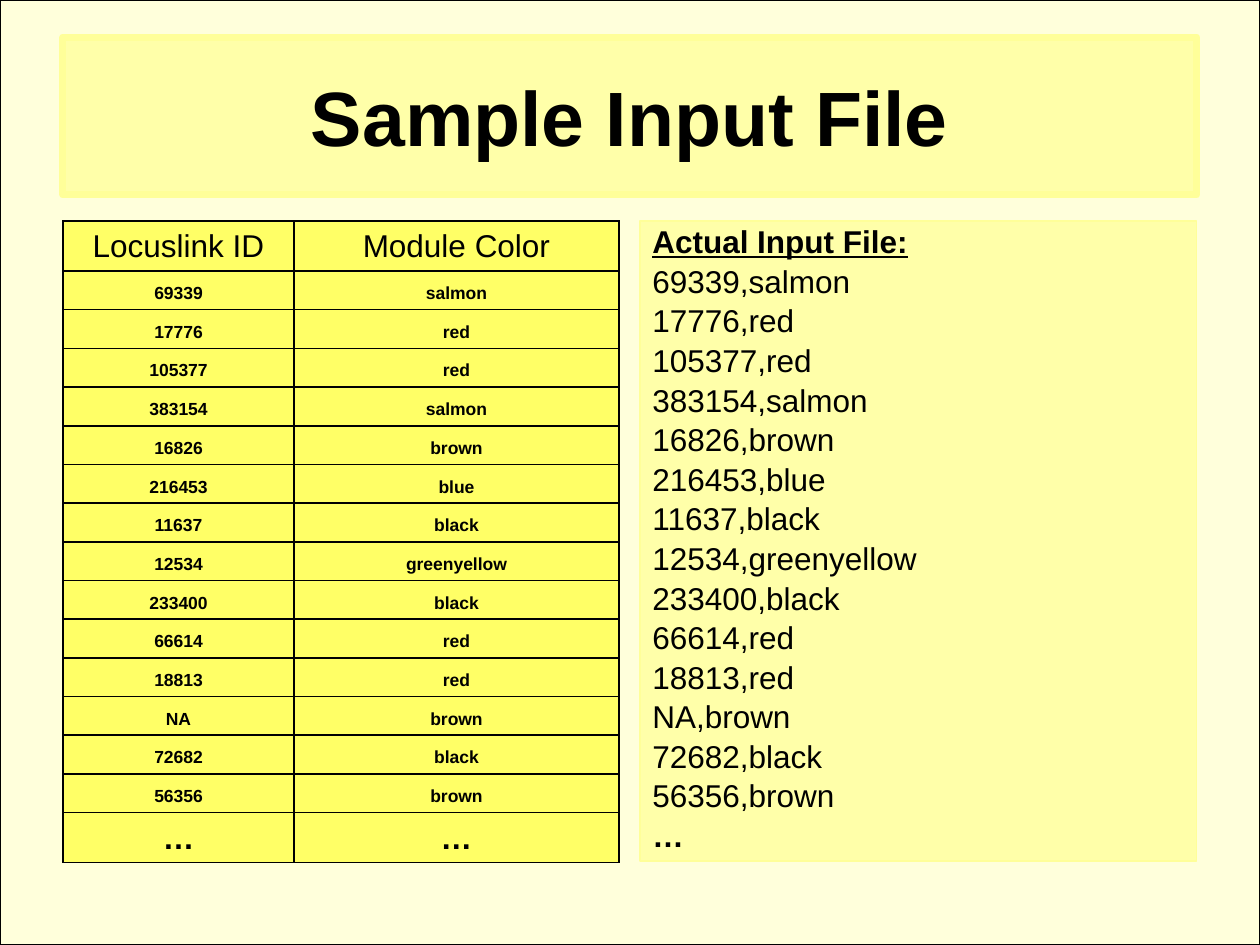
from lxml import etree
from pptx import Presentation
from pptx.dml.color import RGBColor
from pptx.enum.shapes import MSO_SHAPE
from pptx.enum.text import MSO_ANCHOR, PP_ALIGN
from pptx.oxml.ns import qn
from pptx.util import Pt

# Content
TITLE = "Sample Input File"
FILE_HEADING = "Actual Input File:"
HEADER = ("Locuslink ID", "Module Color")
GENES = [
    ("69339", "salmon"), ("17776", "red"), ("105377", "red"),
    ("383154", "salmon"), ("16826", "brown"), ("216453", "blue"),
    ("11637", "black"), ("12534", "greenyellow"), ("233400", "black"),
    ("66614", "red"), ("18813", "red"), ("NA", "brown"),
    ("72682", "black"), ("56356", "brown"),
]
MORE = "…"

# Style and layout, lengths in px
COLORS = {"page": "FFFFFF", "pale": "FFFF99", "cell": "FFFF66", "ink": "000000"}
FONT = "Arial"
EMU_PER_PX = 914400 // 126
SLIDE_W, SLIDE_H = 1260, 945
TITLE_BOX = (63, 37, 1134, 158)
FILE_BOX = (640, 221, 557, 640)
TABLE_LEFT, TABLE_TOP = 63, 221
COLUMN_WIDTHS = (231, 325)
END_ROW_H, GENE_ROWS_H = 50, 542
HANGING = 48


def px(length):
    return length * EMU_PER_PX


def rgb(name):
    return RGBColor.from_string(COLORS[name])


def add_panel(slide, box, opacity, line, line_width):
    panel = slide.shapes.add_shape(MSO_SHAPE.RECTANGLE, *map(px, box))
    panel.shadow.inherit = False
    panel.fill.solid()
    panel.fill.fore_color.rgb = rgb("pale")
    color = panel.fill._xPr.find(qn("a:solidFill"))[0]
    etree.SubElement(color, qn("a:alpha"), val=str(opacity * 1000))
    panel.line.color.rgb = rgb(line)
    panel.line.width = Pt(line_width)
    panel.text_frame.word_wrap = True
    return panel


def add_run(paragraph, text, size, bold=False, underline=False):
    run = paragraph.add_run()
    run.text = text
    font = run.font
    font.name, font.size = FONT, Pt(size)
    font.bold, font.underline = bold, underline
    font.color.rgb = rgb("ink")


def add_borders(cell):
    properties = cell._tc.get_or_add_tcPr()
    for position, side in enumerate(("lnL", "lnR", "lnT", "lnB")):
        border = etree.Element(qn(f"a:{side}"), w=str(Pt(1.08)))
        fill = etree.SubElement(border, qn("a:solidFill"))
        etree.SubElement(fill, qn("a:srgbClr"), val=COLORS["ink"])
        properties.insert(position, border)


presentation = Presentation()
presentation.slide_width, presentation.slide_height = px(SLIDE_W), px(SLIDE_H)
slide = presentation.slides.add_slide(presentation.slide_layouts[6])
slide.background.fill.solid()
slide.background.fill.fore_color.rgb = rgb("page")

# Page tint
add_panel(slide, (0, 0, SLIDE_W, SLIDE_H), 35, "ink", 0.75)

# Title
title = add_panel(slide, TITLE_BOX, 75, "pale", 4).text_frame
title.vertical_anchor = MSO_ANCHOR.MIDDLE
title.paragraphs[0].alignment = PP_ALIGN.CENTER
add_run(title.paragraphs[0], TITLE, 44, bold=True)

# Input file as text
listing = add_panel(slide, FILE_BOX, 75, "pale", 0.75).text_frame
listing.vertical_anchor = MSO_ANCHOR.TOP
file_lines = [FILE_HEADING, *map(",".join, GENES), MORE]
for index, text in enumerate(file_lines):
    line = listing.add_paragraph() if index else listing.paragraphs[0]
    line.alignment = PP_ALIGN.LEFT
    line.line_spacing = 0.88
    line.space_before = Pt(3.6 if index else 0)
    indents = line._p.get_or_add_pPr()
    indents.set("marL", str(px(HANGING)))
    indents.set("indent", str(-px(HANGING)))
    add_run(line, text, 18, bold=text in (FILE_HEADING, MORE),
            underline=text == FILE_HEADING)

# Input file as a table: (texts, size, bold, height) for each row
rows = [(HEADER, 18, False, px(END_ROW_H))]
rows += [(gene, 10, True, px(GENE_ROWS_H) // len(GENES)) for gene in GENES]
rows += [((MORE, MORE), 18, True, px(END_ROW_H))]
genes = slide.shapes.add_table(
    len(rows), len(HEADER), px(TABLE_LEFT), px(TABLE_TOP),
    px(sum(COLUMN_WIDTHS)), px(2 * END_ROW_H + GENE_ROWS_H)).table
genes.first_row = genes.horz_banding = False
for column, width in zip(genes.columns, COLUMN_WIDTHS):
    column.width = px(width)
for row, (texts, size, bold, height) in zip(genes.rows, rows):
    row.height = height
    for cell, text in zip(row.cells, texts):
        cell.fill.solid()
        cell.fill.fore_color.rgb = rgb("cell")
        cell.vertical_anchor = MSO_ANCHOR.BOTTOM
        add_borders(cell)
        paragraph = cell.text_frame.paragraphs[0]
        paragraph.alignment = PP_ALIGN.CENTER
        add_run(paragraph, text, size, bold)

presentation.save("out.pptx")
